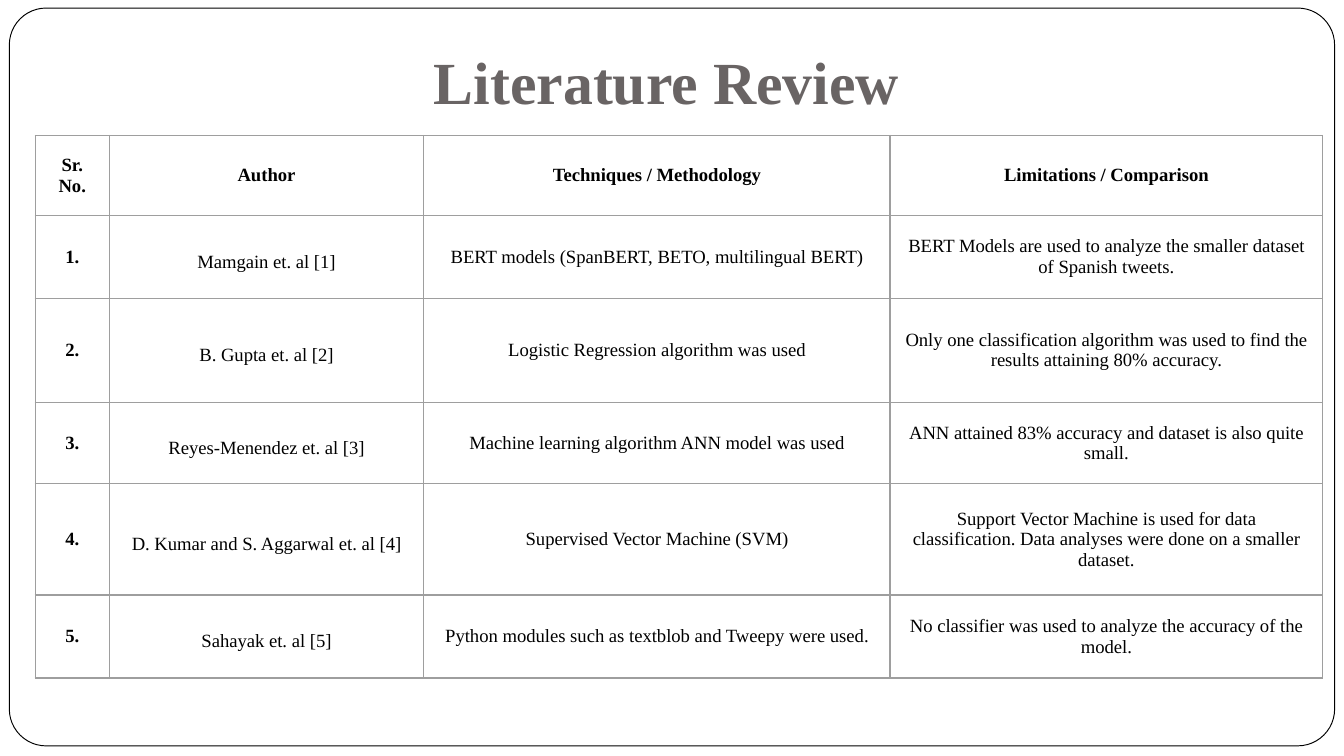
from typing import NamedTuple

from lxml import etree
from pptx import Presentation
from pptx import util as u
from pptx.dml.color import RGBColor
from pptx.enum import shapes, text
from pptx.oxml import ns

COLORS = {"paper": "FFFFFF", "ink": "000000", "title": "696464", "grid": "9E9E9E"}
FONT = "Times New Roman"
INSET = 7.2
HEADINGS = ("Sr. No.", "Author", "Techniques / Methodology", "Limitations / Comparison")
COLUMN_WIDTHS = (39.6, 168.5, 249.8, 231.8)
HEADING_HEIGHT = 42.8


class Study(NamedTuple):
    author: str
    technique: str
    limitation: str
    height: float


STUDIES = (
    Study("Mamgain et. al [1]", "BERT models (SpanBERT, BETO, multilingual BERT)",
          "BERT Models are used to analyze the smaller dataset of Spanish tweets.", 44.5),
    Study("B. Gupta et. al [2]", "Logistic Regression algorithm was used",
          "Only one classification algorithm was used to find the results attaining 80% accuracy.", 55.8),
    Study("Reyes-Menendez et. al [3]", "Machine learning algorithm ANN model was used",
          "ANN attained 83% accuracy and dataset is also quite small.", 43.6),
    Study("D. Kumar and S. Aggarwal et. al [4]", "Supervised Vector Machine (SVM)",
          "Support Vector Machine is used for data classification. "
          "Data analyses were done on a smaller dataset.", 59.5),
    Study("Sahayak et. al [5]", "Python modules such as textblob and Tweepy were used.",
          "No classifier was used to analyze the accuracy of the model.", 44.5),
)


def color(name: str) -> RGBColor:
    return RGBColor.from_string(COLORS[name])


def style_font(font, size: float, ink: str, bold: bool) -> None:
    font.name, font.size, font.bold = FONT, u.Pt(size), bold
    font.color.rgb = color(ink)


def add_frame(slide) -> None:
    frame = slide.shapes.add_shape(shapes.MSO_SHAPE.ROUNDED_RECTANGLE,
                                   u.Pt(5), u.Pt(4.3), u.Pt(710), u.Pt(395.3))
    frame.adjustments[0] = 0.05
    frame.shadow.inherit = False
    frame.fill.solid()
    frame.fill.fore_color.rgb = color("paper")
    frame.line.color.rgb = color("ink")
    frame.line.width = u.Pt(0.5)


def add_title(slide, wording: str) -> None:
    body = slide.shapes.add_textbox(u.Pt(225.4), u.Pt(10.8), u.Pt(303), u.Pt(59)).text_frame
    body.word_wrap = True
    body.vertical_anchor = text.MSO_ANCHOR.BOTTOM
    body.margin_bottom = u.Pt(INSET)
    body.text = wording
    style_font(body.paragraphs[0].font, 32, "title", True)


def add_borders(cell) -> None:
    properties = cell._tc.get_or_add_tcPr()
    for side in ("a:lnL", "a:lnR", "a:lnT", "a:lnB"):
        border = etree.SubElement(properties, ns.qn(side), w=str(u.Pt(0.75)))
        fill = etree.SubElement(border, ns.qn("a:solidFill"))
        etree.SubElement(fill, ns.qn("a:srgbClr"), val=COLORS["grid"])


def fill_cell(cell, wording: str, bold: bool, spacing: float) -> None:
    add_borders(cell)
    cell.fill.background()
    cell.margin_left = cell.margin_right = u.Pt(INSET)
    cell.margin_top = cell.margin_bottom = u.Pt(INSET)
    cell.vertical_anchor = text.MSO_ANCHOR.MIDDLE
    cell.text = wording
    entry = cell.text_frame.paragraphs[0]
    entry.alignment = text.PP_ALIGN.CENTER
    entry.line_spacing = spacing
    style_font(entry.font, 10, "ink", bold)


def add_review(slide) -> None:
    entries = [HEADINGS] + [(f"{number}.", *study[:3]) for number, study in enumerate(STUDIES, 1)]
    heights = [HEADING_HEIGHT] + [study.height for study in STUDIES]
    review = slide.shapes.add_table(len(entries), len(HEADINGS), u.Pt(18.9), u.Pt(72.6),
                                    u.Pt(sum(COLUMN_WIDTHS)), u.Pt(sum(heights))).table
    review.first_row = review.horz_banding = False
    for column, width in zip(review.columns, COLUMN_WIDTHS):
        column.width = u.Pt(width)
    for r, (height, entry) in enumerate(zip(heights, entries)):
        review.rows[r].height = u.Pt(height)
        for c, wording in enumerate(entry):
            fill_cell(review.cell(r, c), wording, bold=r == 0 or c == 0,
                      spacing=1.5 if r and c == 1 else 1.0)


def main() -> None:
    """Build the literature review slide."""
    deck = Presentation()
    deck.slide_width, deck.slide_height = u.Pt(720), u.Pt(405)
    slide = deck.slides.add_slide(deck.slide_layouts[6])
    add_frame(slide)
    add_title(slide, "Literature Review")
    add_review(slide)
    deck.save("out.pptx")


if __name__ == "__main__":
    main()
